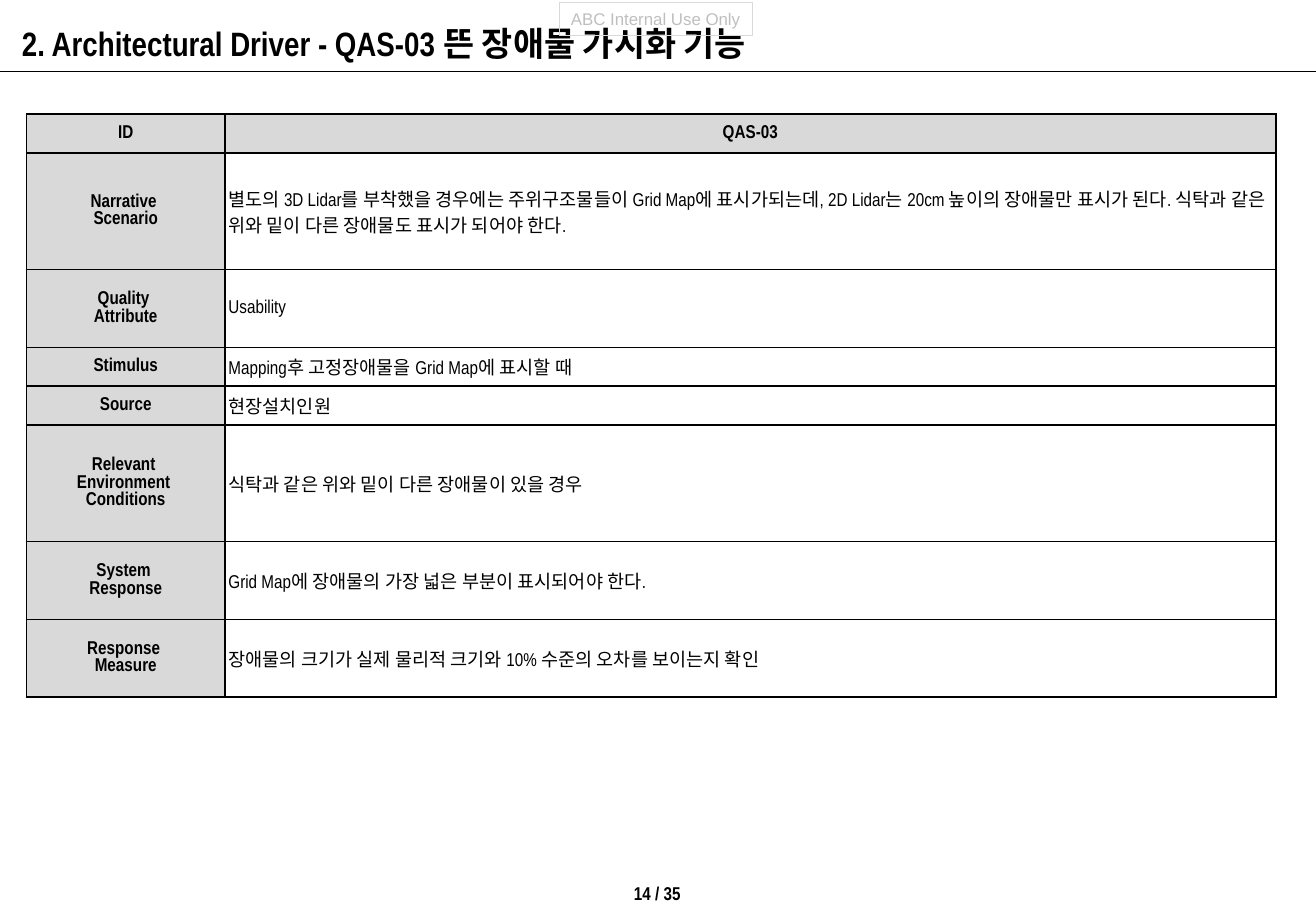
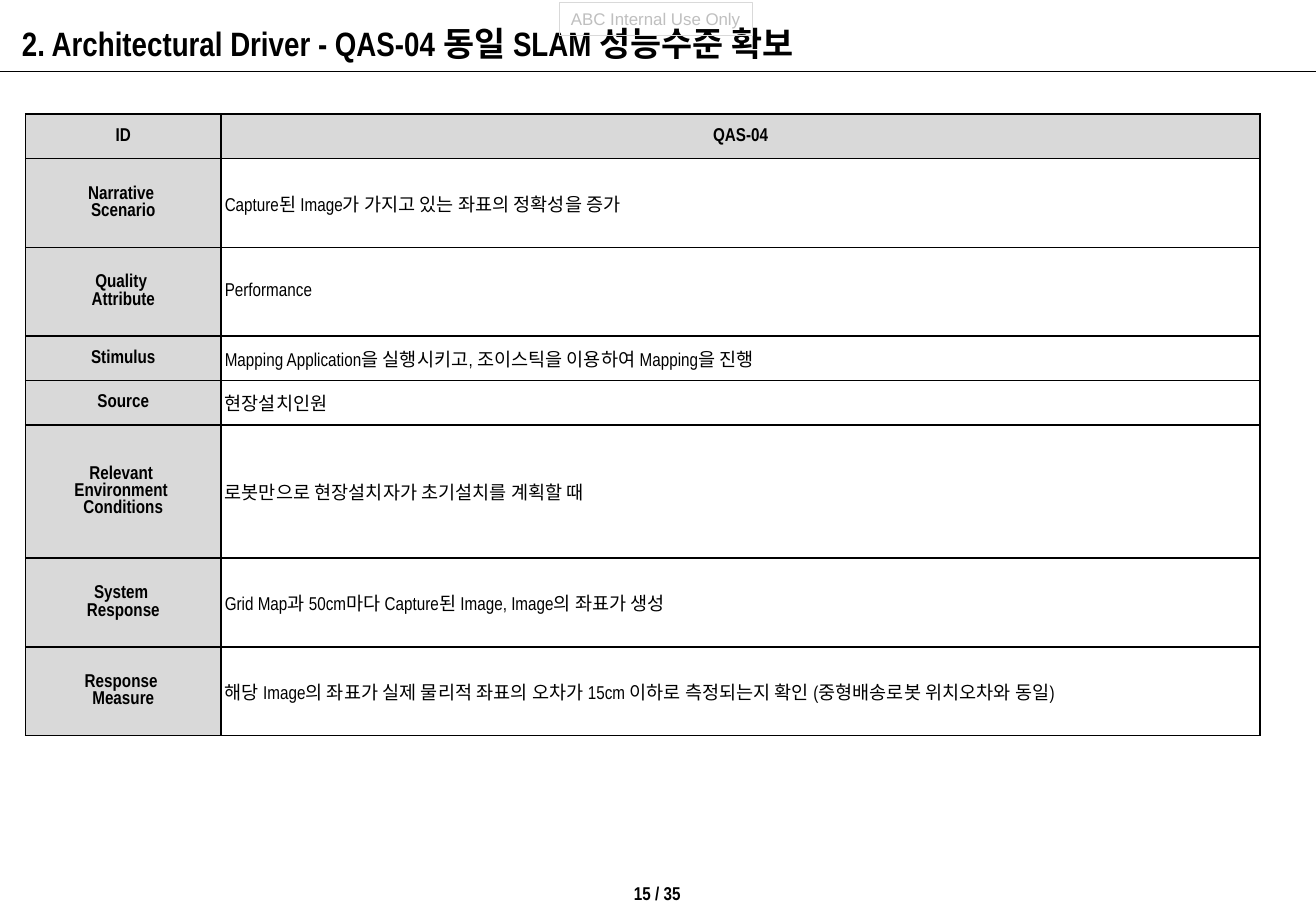
"""Builds two quality attribute scenario slides."""
from lxml.etree import SubElement
from pptx import Presentation
from pptx.dml.color import RGBColor
from pptx.enum.shapes import MSO_CONNECTOR as Connector, MSO_SHAPE as Preset
from pptx.enum.text import MSO_ANCHOR as Anchor, MSO_AUTO_SIZE as AutoSize, PP_ALIGN as Align
from pptx.oxml import parse_xml
from pptx.oxml.ns import nsdecls, qn
from pptx.util import Inches, Pt

WIDTH, HEIGHT = 10.83, 7.5
BLACK, GRAY, PALE = "000000", "D9D9D9", "BFBFBF"
TITLE = {"size": Pt(20), "name": "Arial Narrow", "bold": True}
LABEL = {"size": Pt(11), "name": "Arial Narrow", "bold": True}
VALUE = {**LABEL, "bold": False}
TAG = {"size": Pt(10), "name": "Arial", "bold": False}
CELL = {
    "margin_left": Inches(0.03), "margin_right": Inches(0.03),
    "margin_top": 0, "margin_bottom": 0, "vertical_anchor": Anchor.MIDDLE,
}
LABELS = [
    "ID", "Narrative \nScenario", "Quality \nAttribute", "Stimulus", "Source",
    "Relevant \nEnvironment \nConditions", "System \nResponse", "Response \nMeasure",
]
SCENARIOS = [
    {
        "title": "2. Architectural Driver - QAS-03 뜬 장애물 가시화 기능",
        "number": 14,
        "box": (0.22, 0.94, 10.28, 4.8),
        "label_width": 1.63,
        "row_units": [1, 3, 2, 1, 1, 3, 2, 2],
        "values": [
            "QAS-03",
            "별도의 3D Lidar를 부착했을 경우에는 주위구조물들이 Grid Map에 표시가되는데, "
            "2D Lidar는 20cm 높이의 장애물만 표시가 된다. "
            "식탁과 같은 위와 밑이 다른 장애물도 표시가 되어야 한다.",
            "Usability",
            "Mapping후 고정장애물을 Grid Map에 표시할 때",
            "현장설치인원",
            "식탁과 같은 위와 밑이 다른 장애물이 있을 경우",
            "Grid Map에 장애물의 가장 넓은 부분이 표시되어야 한다.",
            "장애물의 크기가 실제 물리적 크기와 10% 수준의 오차를 보이는지 확인",
        ],
    },
    {
        "title": "2. Architectural Driver - QAS-04 동일 SLAM 성능수준 확보",
        "number": 15,
        "box": (0.21, 0.94, 10.16, 5.12),
        "label_width": 1.61,
        "row_units": [1, 2, 2, 1, 1, 3, 2, 2],
        "values": [
            "QAS-04",
            "Capture된 Image가 가지고 있는 좌표의 정확성을 증가",
            "Performance",
            "Mapping Application을 실행시키고, 조이스틱을 이용하여 Mapping을 진행",
            "현장설치인원",
            "로봇만으로 현장설치자가 초기설치를 계획할 때",
            "Grid Map과 50cm마다 Capture된 Image, Image의 좌표가 생성",
            "해당 Image의 좌표가 실제 물리적 좌표의 오차가 15cm 이하로 측정되는지 확인 "
            "(중형배송로봇 위치오차와 동일)",
        ],
    },
]


def color(value):
    return RGBColor.from_string(value)


def assign(target, values):
    for key, value in values.items():
        setattr(target, key, value)


class Deck:
    def __init__(self):
        self.deck = Presentation()
        assign(self.deck, {"slide_width": Inches(WIDTH), "slide_height": Inches(HEIGHT)})
        self.slide = None

    def put_text(self, frame, text, font, ink=BLACK, align=Align.LEFT):
        frame.text = text
        for paragraph in frame.paragraphs:
            paragraph.alignment = align
            for run in paragraph.runs:
                assign(run.font, font)
                run.font.color.rgb = color(ink)

    def start(self, title, number):
        self.slide = self.deck.slides.add_slide(self.deck.slide_layouts[5])
        self.title(title)
        self.tag("ABC Internal Use Only")
        self.rule(0.59)
        self.page_number(f"{number} / 35")

    def title(self, text):
        heading = self.slide.shapes.title
        box = (0.08, 0.07, 8.73, 0.47)
        assign(heading, dict(zip(("left", "top", "width", "height"), map(Inches, box))))
        frame = heading.text_frame
        self.put_text(frame, text, TITLE)
        assign(frame, {"vertical_anchor": Anchor.TOP, "word_wrap": True,
                       "auto_size": AutoSize.NONE})
        frame.paragraphs[0].line_spacing = 1.2

    def tag(self, text):
        tag = self.slide.shapes.add_shape(Preset.RECTANGLE, *map(Inches, (4.6, 0.02, 1.59, 0.27)))
        tag.shadow.inherit = False
        tag.fill.background()
        tag.line.color.rgb = color(GRAY)
        tag.line.width = Pt(0.5)
        self.put_text(tag.text_frame, text, TAG, PALE)
        assign(tag.text_frame, {"word_wrap": False, "vertical_anchor": Anchor.MIDDLE})

    def rule(self, top):
        rule = self.slide.shapes.add_connector(
            Connector.STRAIGHT, *map(Inches, (0, top, WIDTH, top)))
        rule.line.color.rgb = color(BLACK)
        rule.line.width = Pt(0.75)
        SubElement(rule.element.spPr, qn("a:effectLst"))

    def page_number(self, text):
        footer = self.slide.shapes.add_textbox(*map(Inches, (5.11, 7.21, 0.6, 0.29)))
        self.put_text(footer.text_frame, text, LABEL, align=Align.CENTER)
        footer.text_frame.word_wrap = False

    def borders(self, cell):
        properties = cell._tc.get_or_add_tcPr()
        for position, side in enumerate(("lnL", "lnR", "lnT", "lnB")):
            properties.insert(position, parse_xml(
                f'<a:{side} {nsdecls("a")} w="{Pt(1)}"><a:solidFill>'
                f'<a:srgbClr val="{BLACK}"/></a:solidFill></a:{side}>'))

    def cell(self, cell, text, is_heading):
        assign(cell, CELL)
        if is_heading:
            cell.fill.solid()
            cell.fill.fore_color.rgb = color(GRAY)
            self.put_text(cell.text_frame, text, LABEL, align=Align.CENTER)
        else:
            cell.fill.background()
            self.put_text(cell.text_frame, text, VALUE)
        self.borders(cell)

    def scenario_table(self, box, label_width, row_units, values):
        table = self.slide.shapes.add_table(len(LABELS), 2, *map(Inches, box)).table
        assign(table, {"first_row": False, "horz_banding": False})
        width, height = box[2:]
        table.columns[0].width = Inches(label_width)
        table.columns[1].width = Inches(width - label_width)
        unit = height / sum(row_units)
        for index, (label, value, units) in enumerate(zip(LABELS, values, row_units)):
            table.rows[index].height = Inches(unit * units)
            self.cell(table.cell(index, 0), label, True)
            self.cell(table.cell(index, 1), value, index == 0)


def main():
    deck = Deck()
    for scenario in SCENARIOS:
        deck.start(scenario["title"], scenario["number"])
        deck.scenario_table(scenario["box"], scenario["label_width"],
                            scenario["row_units"], scenario["values"])
    deck.deck.save("out.pptx")


if __name__ == "__main__":
    main()
